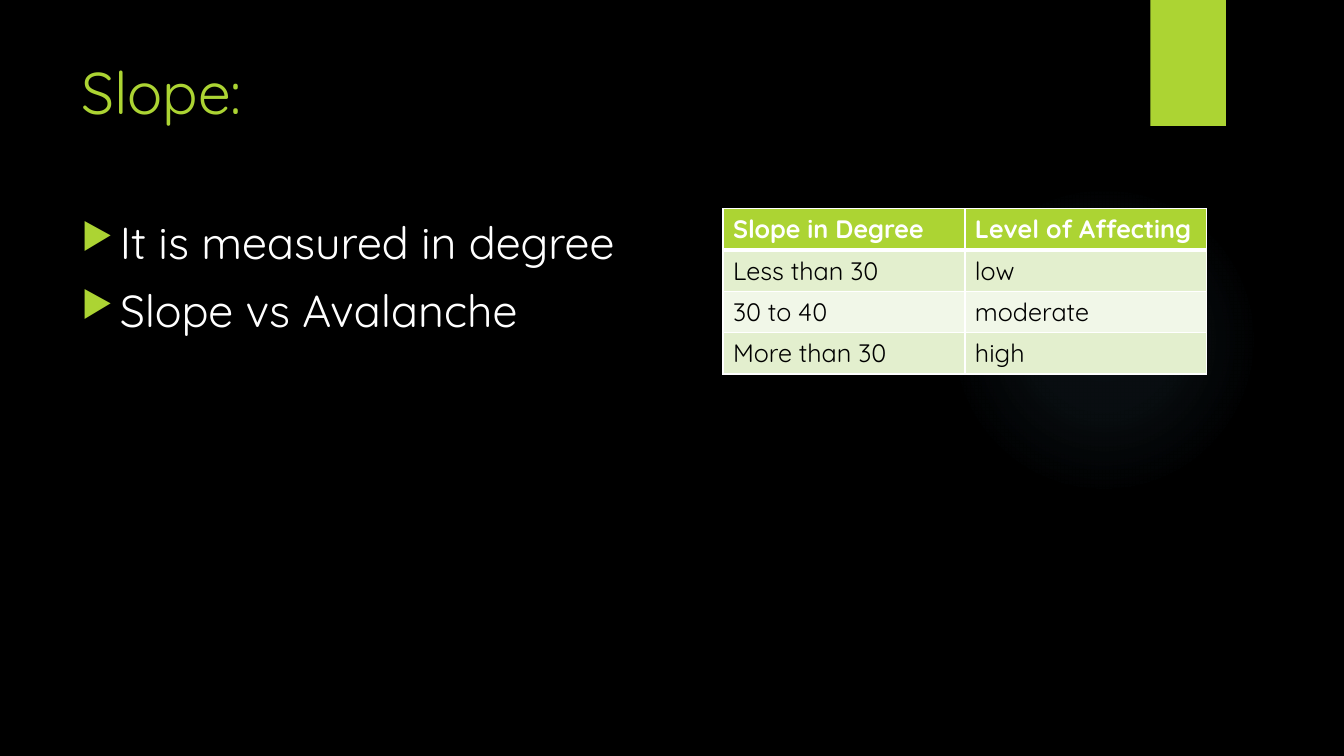
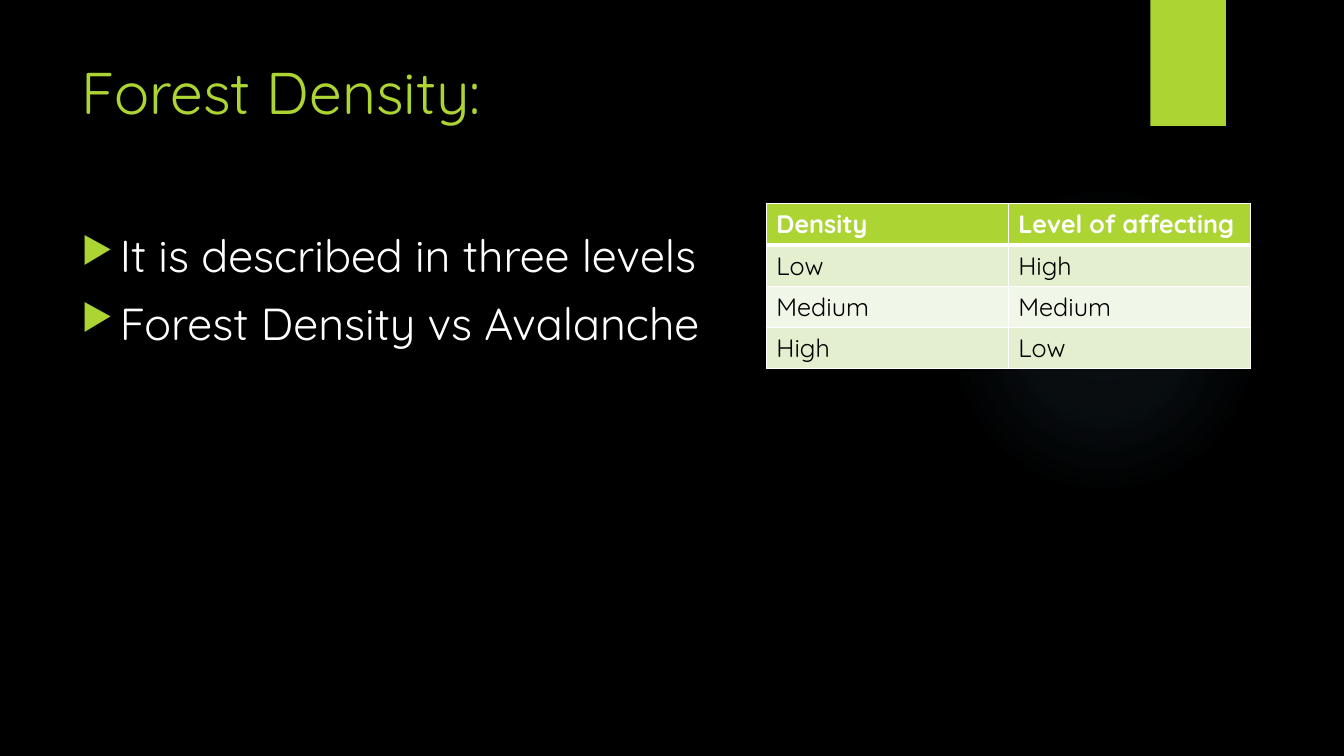
from lxml import etree
from pptx import Presentation
from pptx.dml.color import RGBColor
from pptx.enum.shapes import MSO_SHAPE
from pptx.enum.text import MSO_ANCHOR, MSO_AUTO_SIZE, PP_ALIGN
from pptx.oxml import parse_xml
from pptx.oxml.ns import nsdecls, qn
from pptx.util import Inches, Pt

RECT, OVAL = MSO_SHAPE.RECTANGLE, MSO_SHAPE.OVAL
TOP, LEFT, NO_FIT = MSO_ANCHOR.TOP, PP_ALIGN.LEFT, MSO_AUTO_SIZE.NONE
TITLE_ONLY = 5

# Shared style
FONT = "Quicksand"
GREEN, WHITE, BLACK, SKY = "ACD433", "FFFFFF", "000000", "7AC4F0"
ROW_FILLS = ("E3EFCE", "F1F7E8")
GLOW_STOPS = ((0, 7), (36, 6), (69, 0))  # position and opacity in percent
TITLE_FONT = {"size": Pt(42), "name": FONT}
BODY_FONT = {"size": Pt(32), "name": FONT}
CELL_FONT = {"size": Pt(18), "name": FONT}
COL_W, ROW_H = 2.4, 0.41

SLIDES = [
    {
        "title": "Slope:",
        "bullets": ["It is measured in degree", "Slope vs Avalanche"],
        "body_box": (0.71, 2.08, 6.41, 2.56),
        "table_at": (7.17, 2.07),
        "rows": [
            ("Slope in Degree", "Level of Affecting"),
            ("Less than 30", "low"),
            ("30 to 40", "moderate"),
            ("More than 30", "high"),
        ],
    },
    {
        "title": "Forest Density:",
        "bullets": ["It is described in three levels", "Forest Density vs Avalanche"],
        "body_box": (0.71, 2.21, 6.89, 4.59),
        "table_at": (7.6, 2.02),
        "rows": [
            ("Density", "Level of affecting"),
            ("Low", "High"),
            ("Medium", "Medium"),
            ("High", "Low"),
        ],
    },
]


def rgb(value):
    return RGBColor.from_string(value)


def inches(values):
    return [Inches(v) for v in values]


def write(p, text, formats, color):
    r = p.add_run()
    r.text = text
    for name, value in formats.items():
        setattr(r.font, name, value)
    r.font.color.rgb = rgb(color)


def add_plain_shape(slide, kind, box):
    sp = slide.shapes.add_shape(kind, *inches(box))
    sp.shadow.inherit = False
    sp.line.fill.background()
    return sp


def add_decor(slide):
    # Soft glow
    glow = add_plain_shape(slide, OVAL, (9.41, 1.83, 3.08, 3.08))
    stops = "".join(
        f'<a:gs pos="{pos * 1000}"><a:srgbClr val="{SKY}">'
        f'<a:alpha val="{alpha * 1000}"/></a:srgbClr></a:gs>'
        for pos, alpha in GLOW_STOPS
    )
    gradient = parse_xml(
        f'<a:gradFill {nsdecls("a")}><a:gsLst>{stops}</a:gsLst><a:path path="circle">'
        '<a:fillToRect l="50000" t="50000" r="50000" b="50000"/></a:path></a:gradFill>'
    )
    glow._element.spPr.find(qn("a:prstGeom")).addnext(gradient)
    # Green tab
    tab = add_plain_shape(slide, RECT, (11.41, 0, 0.75, 1.25))
    tab.fill.solid()
    tab.fill.fore_color.rgb = rgb(GREEN)


def set_title(slide, text):
    sp = slide.shapes.title
    sp.left, sp.top, sp.width, sp.height = inches((0.71, 0.5, 10.29, 1.53))
    tf = sp.text_frame
    tf.auto_size, tf.vertical_anchor = NO_FIT, TOP
    p = tf.paragraphs[0]
    p.alignment = LEFT
    write(p, text, TITLE_FONT, GREEN)


def set_bullet(p):
    pPr = p._p.get_or_add_pPr()
    pPr.set("marL", str(Inches(0.38)))
    pPr.set("indent", str(-Inches(0.38)))
    color = etree.SubElement(pPr, qn("a:buClr"))
    etree.SubElement(color, qn("a:srgbClr"), val=GREEN)
    etree.SubElement(pPr, qn("a:buSzPct"), val="80000")
    etree.SubElement(pPr, qn("a:buChar"), char="▶")


def add_bullets(slide, box, lines):
    tf = slide.shapes.add_textbox(*inches(box)).text_frame
    tf.word_wrap = True
    for i, line in enumerate(lines):
        p = tf.add_paragraph() if i else tf.paragraphs[0]
        p.space_before = Pt(10)
        set_bullet(p)
        write(p, line, BODY_FONT, WHITE)


def set_borders(cell, widths):
    tcPr = cell._tc.get_or_add_tcPr()
    for side, width in widths.items():
        ln = etree.SubElement(tcPr, qn(f"a:ln{side}"), w=str(Pt(width)))
        fill = etree.SubElement(ln, qn("a:solidFill"))
        etree.SubElement(fill, qn("a:srgbClr"), val=WHITE)


def add_level_table(slide, at, rows):
    n_rows, n_cols = len(rows), len(rows[0])
    size = (n_cols * COL_W, n_rows * ROW_H)
    table = slide.shapes.add_table(n_rows, n_cols, *inches(at + size)).table
    for i, row in enumerate(rows):
        header = i == 0
        fill = GREEN if header else ROW_FILLS[(i - 1) % 2]
        # The rule below the header is thicker than the rest
        widths = {"L": 1, "R": 1, "T": 3 if i == 1 else 1, "B": 3 if header else 1}
        for j, text in enumerate(row):
            cell = table.cell(i, j)
            set_borders(cell, widths)
            cell.fill.solid()
            cell.fill.fore_color.rgb = rgb(fill)
            write(cell.text_frame.paragraphs[0], text,
                  {**CELL_FONT, "bold": header}, WHITE if header else BLACK)


def main():
    prs = Presentation()
    prs.slide_width, prs.slide_height = inches((13.33, 7.5))
    background = prs.slide_master.background.fill
    background.solid()
    background.fore_color.rgb = rgb(BLACK)
    for content in SLIDES:
        slide = prs.slides.add_slide(prs.slide_layouts[TITLE_ONLY])
        add_decor(slide)
        set_title(slide, content["title"])
        add_bullets(slide, content["body_box"], content["bullets"])
        add_level_table(slide, content["table_at"], content["rows"])
    prs.save("out.pptx")


if __name__ == "__main__":
    main()
